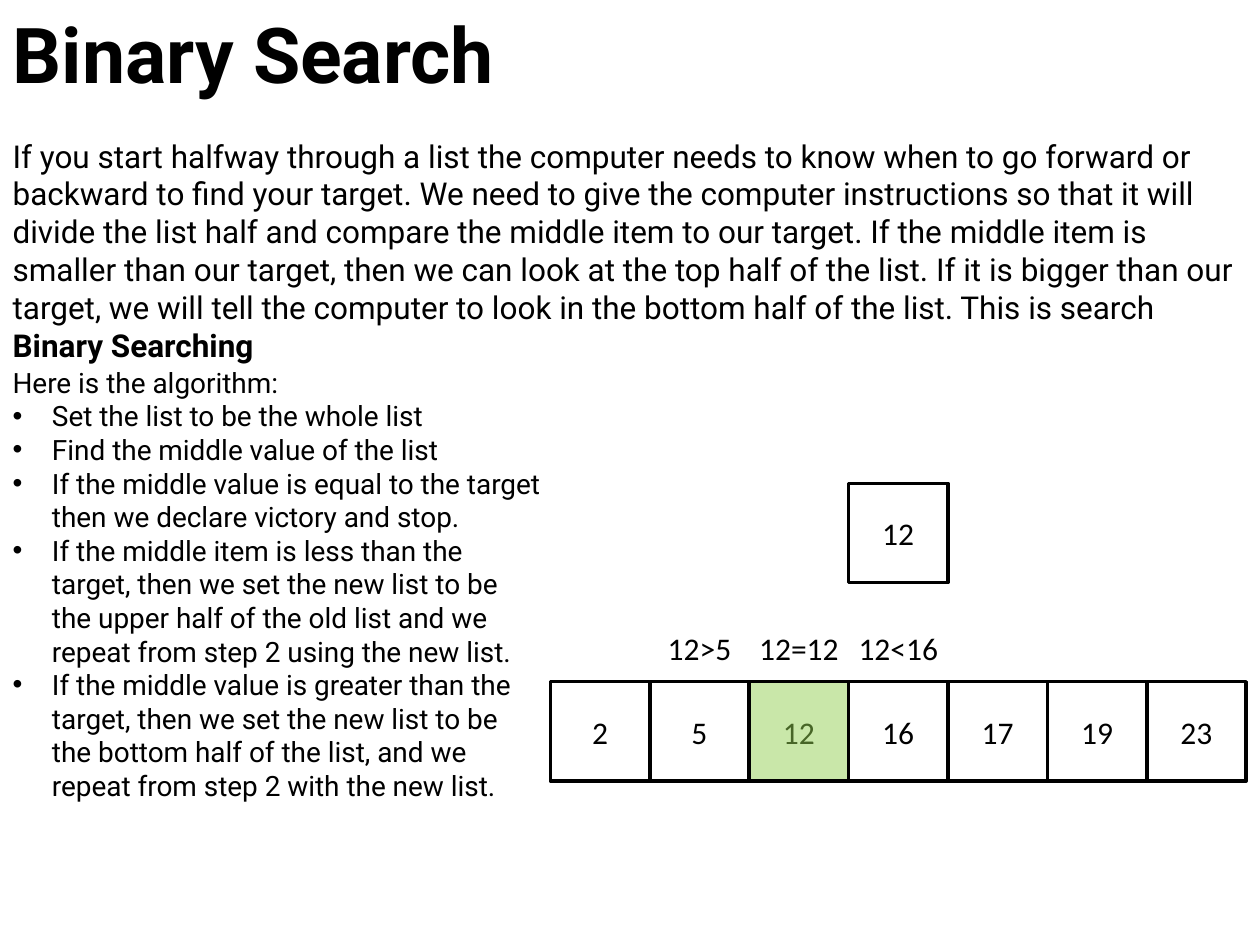
from dataclasses import dataclass

from lxml import etree
from pptx import Presentation
from pptx.dml.color import RGBColor
from pptx.enum import shapes, text
from pptx.oxml import ns
from pptx.util import Pt


@dataclass(frozen=True)
class Theme:
    ink: RGBColor = RGBColor(0, 0, 0)
    paper: RGBColor = RGBColor(255, 255, 255)
    found: RGBColor = RGBColor(0x92, 0xD0, 0x50)
    found_alpha: int = 49000
    prose_font: str = "Roboto"
    number_font: str = "Calibri"
    title_size: int = 44
    intro_size: int = 18
    steps_size: int = 16
    number_size: int = 18
    border: int = 2


THEME = Theme()


def place(item, box):
    item.left, item.top, item.width, item.height = (Pt(length) for length in box)


def style(run, font, size, bold=False):
    run.font.name = font
    run.font.size = Pt(size)
    run.font.bold = bold
    run.font.color.rgb = THEME.ink


def prepare(holder, box):
    place(holder, box)
    frame = holder.text_frame
    frame.word_wrap = True
    frame.auto_size = text.MSO_AUTO_SIZE.NONE
    frame.vertical_anchor = text.MSO_ANCHOR.TOP
    return frame


def set_indent(paragraph, hanging, bullet):
    properties = paragraph._p.get_or_add_pPr()
    properties.set("marL", str(Pt(hanging)))
    properties.set("indent", str(Pt(-hanging)))
    if bullet:
        etree.SubElement(properties, ns.qn("a:buFont")).set("typeface", "Arial")
        etree.SubElement(properties, ns.qn("a:buChar")).set("char", "•")
    else:
        etree.SubElement(properties, ns.qn("a:buNone"))


def add_heading(holder, box, heading):
    frame = prepare(holder, box)
    frame.text = heading
    frame.paragraphs[0].alignment = text.PP_ALIGN.LEFT
    style(frame.paragraphs[0].runs[0], THEME.prose_font, THEME.title_size, True)


def add_intro(holder, box, explanation, term):
    paragraph = prepare(holder, box).paragraphs[0]
    paragraph.space_before = Pt(0)
    set_indent(paragraph, 0, False)
    for wording, bold in ((explanation, False), (term, True)):
        run = paragraph.add_run()
        run.text = wording
        style(run, THEME.prose_font, THEME.intro_size, bold)


def add_algorithm(holder, box, lead, steps):
    frame = prepare(holder, box)
    frame.text = "\n".join([lead, *steps])
    for index, paragraph in enumerate(frame.paragraphs):
        paragraph.space_before = Pt(0)
        set_indent(paragraph, 22.5 if index else 0, index > 0)
        style(paragraph.runs[0], THEME.prose_font, THEME.steps_size)


def write_number(frame, wording):
    frame.text = wording
    frame.paragraphs[0].alignment = text.PP_ALIGN.CENTER
    style(frame.paragraphs[0].runs[0], THEME.number_font, THEME.number_size)


def add_cell(slide, box, fill, value=None):
    cell = slide.shapes.add_shape(
        shapes.MSO_SHAPE.RECTANGLE, *(Pt(length) for length in box))
    cell.shadow.inherit = False
    cell.fill.solid()
    cell.fill.fore_color.rgb = fill
    cell.line.color.rgb = THEME.ink
    cell.line.width = Pt(THEME.border)
    if value is not None:
        cell.text_frame.vertical_anchor = text.MSO_ANCHOR.MIDDLE
        write_number(cell.text_frame, str(value))
    return cell


def add_search(slide, box, values, target, comparisons):
    left, top, width, height = box
    side = width / len(values)
    row_top = top + height - side
    label_width, label_height, label_rise = 63, 29, 34

    def column(index):
        return left + index * side

    for index, value in enumerate(values):
        add_cell(slide, (column(index), row_top, side, side), THEME.paper, value)

    for index, comparison in comparisons.items():
        label_left = column(index) + (side - label_width) / 2
        label = slide.shapes.add_textbox(
            Pt(label_left), Pt(row_top - label_rise), Pt(label_width), Pt(label_height))
        label.text_frame.word_wrap = True
        write_number(label.text_frame, comparison)

    add_cell(slide, (column(3), top, side, side), THEME.paper, target)

    match_left = column(values.index(target))
    match = add_cell(slide, (match_left, row_top, side, side), THEME.found)
    tint = match.fill._xPr.find(ns.qn("a:solidFill"))[0]
    etree.SubElement(tint, ns.qn("a:alpha")).set("val", str(THEME.found_alpha))


def add_binary_search_slide(deck):
    slide = deck.slides.add_slide(deck.slide_layouts.get_by_name("Two Content"))
    heading, intro, algorithm = list(slide.placeholders)[:3]
    add_heading(heading, (0, 0, 720, 74), "Binary Search")
    add_intro(
        intro, (0, 74.4, 720, 160),
        "If you start halfway through a list the computer needs to know when to go "
        "forward or backward to find your target. We need to give the computer "
        "instructions so that it will divide the list half and compare the middle "
        "item to our target. If the middle item is smaller than our target, then we "
        "can look at the top half of the list. If it is bigger than our target, we "
        "will tell the computer to look in the bottom half of the list. This is search ",
        "Binary Searching ")
    add_algorithm(
        algorithm, (0, 205.2, 317.5, 300), "Here is the algorithm: ", [
            "Set the list to be the whole list ",
            "Find the middle value of the list ",
            "If the middle value is equal to the target then we declare victory and stop. ",
            "If the middle item is less than the target, then we set the new list to be "
            "the upper half of the old list and we repeat from step 2 using the new list. ",
            "If the middle value is greater than the target, then we set the new list to "
            "be the bottom half of the list, and we repeat from step 2 with the new list. ",
        ])
    add_search(
        slide, (314.5, 276.2, 397.6, 170.2), [2, 5, 12, 16, 17, 19, 23], 12,
        {1: "12>5", 2: "12=12", 3: "12<16"})


deck = Presentation()
deck.slide_width, deck.slide_height = Pt(720), Pt(540)
add_binary_search_slide(deck)
deck.save("out.pptx")
